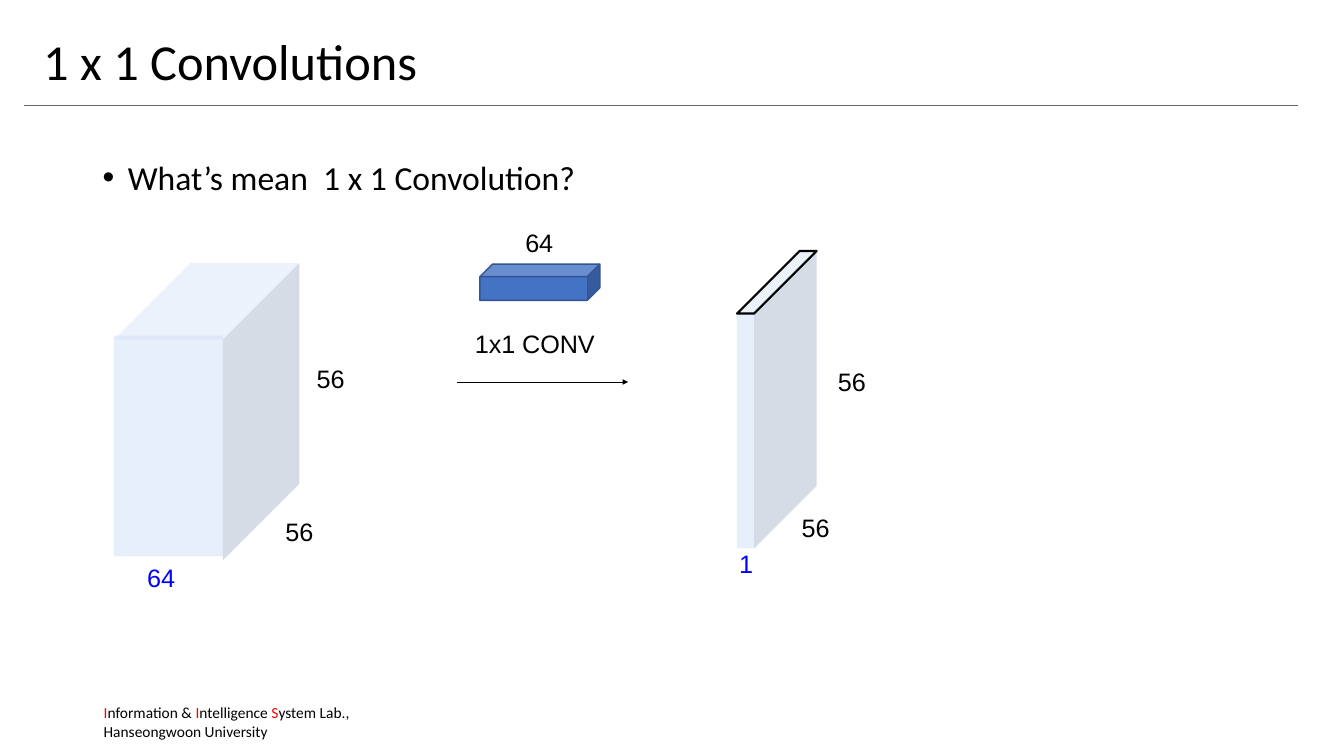
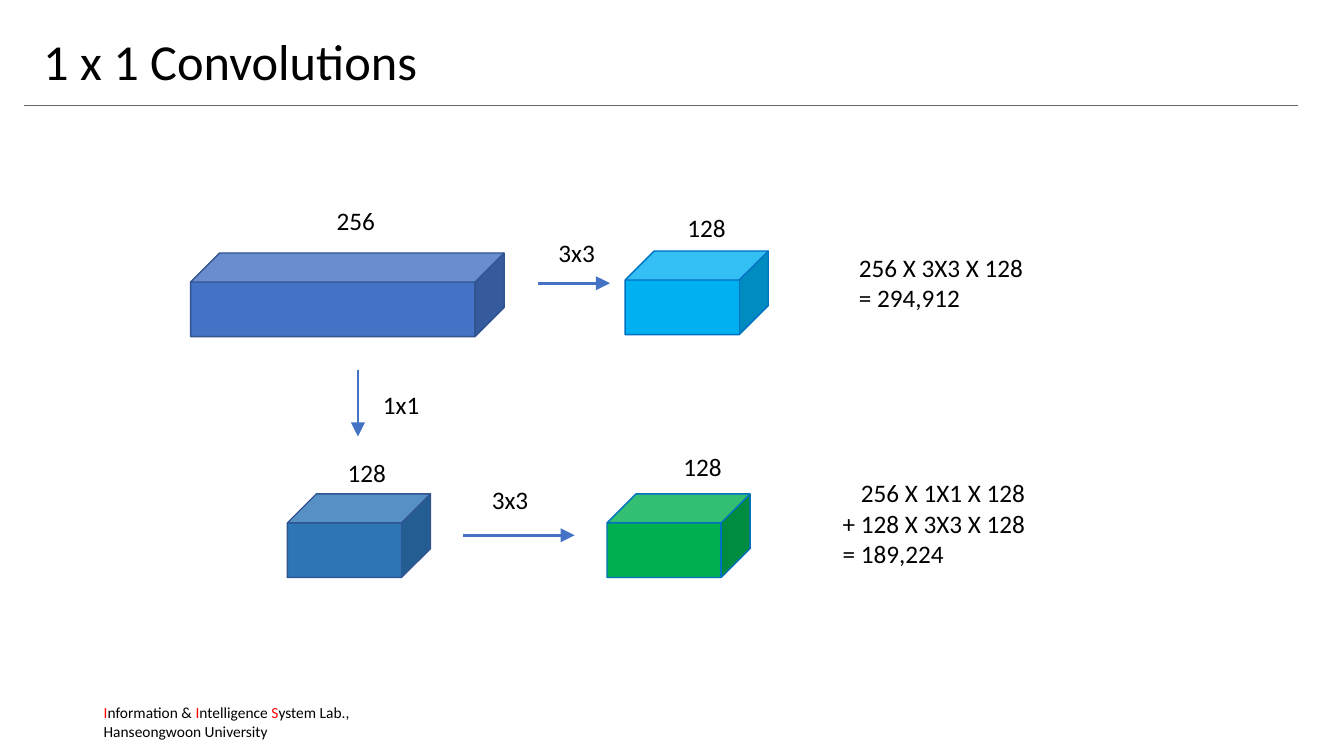
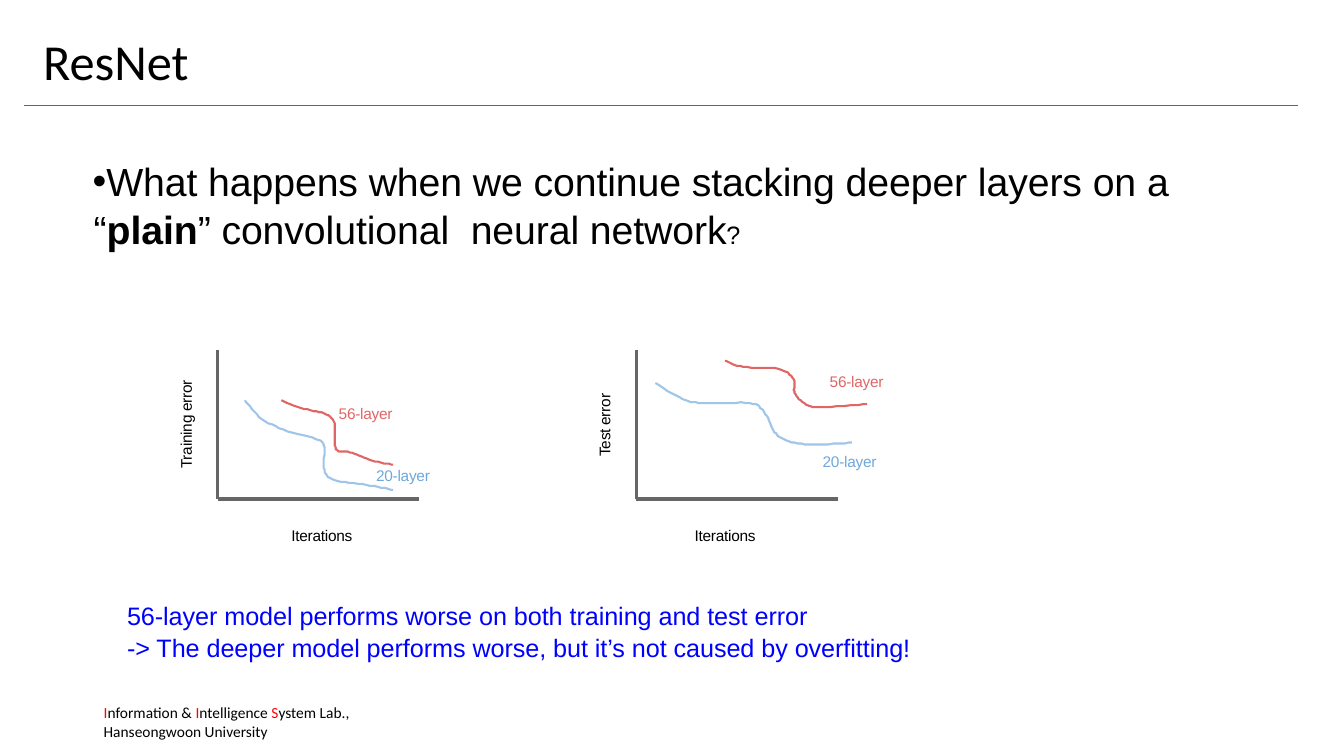
from dataclasses import dataclass, replace

from pptx import Presentation
from pptx.dml.color import RGBColor
from pptx.enum.shapes import MSO_CONNECTOR, MSO_SHAPE
from pptx.enum.text import MSO_ANCHOR, MSO_AUTO_SIZE
from pptx.oxml.ns import qn
from pptx.oxml.xmlchemy import OxmlElement
from pptx.util import Pt

PX = 9144
CURVE_STEPS = 8


@dataclass(frozen=True)
class TextStyle:
    """Describes how a block of text is set, with lengths in px."""
    size: int = 18
    color: str = "000000"
    font: str = "Calibri"
    bold: bool = False
    tracking: int = 0
    insets: tuple = (10, 5, 10, 5)
    before: float = 0
    spacing: float = 1
    margin: int = 0
    indent: int = 0
    bullet: bool = False
    anchor: MSO_ANCHOR = MSO_ANCHOR.TOP
    wrap: bool = True
    grow: bool = True
    vertical: bool = False


TIGHT = TextStyle(font="Arial", tracking=-6, insets=(0, 1, 0, 0), before=1, margin=1)


@dataclass(frozen=True)
class Theme:
    """Keeps the colours and text styles of the deck together."""
    rule: str = "666666"
    black: str = "000000"
    accent: str = "FF0000"
    emphasis: str = "0000FF"
    blue: str = "4472C4"
    blue_edge: str = "325491"
    steel: str = "2E75B6"
    sky: str = "00B0F0"
    green: str = "00B050"
    bright_edge: str = "0070C0"
    face_top: str = "D3E1F9"
    face_front: str = "C9DAF8"
    face_side: str = "A0AEC6"
    face_slim: str = "ECF2FC"
    deep: str = "E06666"
    shallow: str = "9FC5E8"
    shallow_text: str = "6FA8DC"
    title: TextStyle = TextStyle(size=36, spacing=0.9, anchor=MSO_ANCHOR.MIDDLE, grow=False)
    bullet: TextStyle = TextStyle(size=24, spacing=0.9, before=10, margin=25,
                                  indent=-25, bullet=True, grow=False)
    footer: TextStyle = TextStyle(size=11)
    caption: TextStyle = TextStyle(wrap=False)
    label: TextStyle = TIGHT
    question: TextStyle = replace(TIGHT, size=28, spacing=1.01, indent=-25, bullet=True)
    plot: TextStyle = replace(TIGHT, size=11, tracking=-20)


def smooth_curve(knots):
    """Returns points on a Catmull-Rom curve through the knots."""
    padded = [knots[0], *knots, knots[-1]]
    points = [knots[0]]
    for before, start, end, after in zip(padded, padded[1:], padded[2:], padded[3:]):
        for step in range(1, CURVE_STEPS + 1):
            t = step / CURVE_STEPS
            points.append(tuple(
                b + (c - a) * t / 2
                + (2 * a - 5 * b + 4 * c - d) * t ** 2 / 2
                + (3 * b - a - 3 * c + d) * t ** 3 / 2
                for a, b, c, d in zip(before, start, end, after)))
    return points


class Canvas:
    """Draws themed elements on the current slide."""

    def __init__(self, theme):
        """Starts an empty deck."""
        self.theme = theme
        self.deck = Presentation()
        self.deck.slide_width = 1333 * PX
        self.deck.slide_height = 750 * PX
        self.page = None

    def new_page(self, title):
        """Adds a slide with the shared title, rule and footer."""
        theme = self.theme
        self.page = self.deck.slides.add_slide(self.deck.slide_layouts[6])
        red = {"color": theme.accent}
        self.text((93, 693, 266, 47), theme.footer,
                  [("I", red), "nformation & ", ("I", red), "ntelligence ",
                   ("S", red), "ystem Lab.,"],
                  ["Hanseongwoon University"])
        self.line((24, 105), (1287, 105), theme.rule, 0.75)
        self.text((33, 23, 1300, 81), theme.title, [title])

    def text(self, area, style, *paragraphs):
        """Adds a text box; a paragraph is a list of strings or (string, changes)."""
        box = self.page.shapes.add_textbox(*(value * PX for value in area))
        frame = box.text_frame
        frame.word_wrap = style.wrap
        frame.auto_size = MSO_AUTO_SIZE.SHAPE_TO_FIT_TEXT if style.grow else MSO_AUTO_SIZE.NONE
        frame.vertical_anchor = style.anchor
        (frame.margin_left, frame.margin_top,
         frame.margin_right, frame.margin_bottom) = (value * PX for value in style.insets)
        if style.vertical:
            frame._txBody.bodyPr.set("vert", "vert270")
        for index, spans in enumerate(paragraphs):
            para = frame.add_paragraph() if index else frame.paragraphs[0]
            self.format_paragraph(para, style)
            for item in spans:
                words, changes = (item, {}) if isinstance(item, str) else item
                self.add_span(para, words, replace(style, **changes))
        return frame

    def format_paragraph(self, para, style):
        """Sets spacing, indents and bullet of a paragraph."""
        para.line_spacing = style.spacing
        para.space_before = Pt(style.before)
        properties = para._p.get_or_add_pPr()
        properties.set("marL", str(style.margin * PX))
        properties.set("indent", str(style.indent * PX))
        if style.bullet:
            for tag, key, value in (("a:buFont", "typeface", "Arial"), ("a:buChar", "char", "•")):
                mark = OxmlElement(tag)
                mark.set(key, value)
                properties.append(mark)

    def add_span(self, para, words, style):
        """Adds one run of text."""
        span = para.add_run()
        span.text = words
        span.font.name = style.font
        span.font.size = Pt(style.size)
        span.font.bold = style.bold
        span.font.color.rgb = RGBColor.from_string(style.color)
        if style.tracking:
            span._r.get_or_add_rPr().set("spc", str(style.tracking))

    def line(self, start, end, color, width, head=None):
        """Adds a straight line, with an arrowhead of the given size if any."""
        connector = self.page.shapes.add_connector(
            MSO_CONNECTOR.STRAIGHT, *(value * PX for value in (*start, *end)))
        connector.line.color.rgb = RGBColor.from_string(color)
        connector.line.width = Pt(width)
        properties = connector._element.spPr
        if head:
            arrow = OxmlElement("a:tailEnd")
            for key, value in (("type", "triangle"), ("w", head), ("len", head)):
                arrow.set(key, value)
            properties.find(qn("a:ln")).append(arrow)
        properties.append(OxmlElement("a:effectLst"))

    def paint(self, shape, fill=None, edge=None, width=1, opacity=100):
        """Sets fill, outline and opacity of a shape."""
        shape.shadow.inherit = False
        if fill:
            shape.fill.solid()
            shape.fill.fore_color.rgb = RGBColor.from_string(fill)
        else:
            shape.fill.background()
        if edge:
            shape.line.color.rgb = RGBColor.from_string(edge)
            shape.line.width = Pt(width)
        else:
            shape.line.fill.background()
        if opacity < 100:
            alpha = OxmlElement("a:alpha")
            alpha.set("val", str(opacity * 1000))
            shape._element.spPr.find(qn("a:solidFill"))[0].append(alpha)

    def cube(self, area, fill, edge):
        """Adds a block seen from above and the right."""
        shape = self.page.shapes.add_shape(MSO_SHAPE.CUBE, *(value * PX for value in area))
        shape.adjustments[0] = 0.347
        self.paint(shape, fill, edge)

    def outline(self, points, closed=True, **look):
        """Adds a polygon or an open curve through the points."""
        builder = self.page.shapes.build_freeform(*points[0], scale=PX)
        builder.add_line_segments(points[1:], close=closed)
        self.paint(builder.convert_to_shape(), **look)

    def volume(self, area, depth, lift, top_look):
        """Adds a see-through volume; lift raises its front above its side."""
        left, top, width, height = area
        right, bottom = left + width, top + height
        glass = {"opacity": 43}
        self.outline([(right, top), (right + depth, top - depth),
                      (right + depth, bottom - depth), (right, bottom)],
                     fill=self.theme.face_side, **glass)
        self.outline([(left, top - lift), (right, top - lift),
                      (right, bottom - lift), (left, bottom - lift)],
                     fill=self.theme.face_front, **glass)
        self.outline([(left, top), (left + depth, top - depth),
                      (right + depth, top - depth), (right, top)], **top_look)

    def error_plot(self, origin, kind, kind_height, iterations_offset, curves):
        """Adds axes, their names and curves whose knots are (across, up) from the origin."""
        theme = self.theme
        left, bottom = origin
        axis_width, axis_height = 200, 148
        for end in ((left + axis_width, bottom), (left, bottom - axis_height)):
            self.line(origin, end, theme.rule, 2.25)
        for name, color, name_color, (across, up), knots in curves:
            points = [(left + x, bottom - y) for x, y in smooth_curve(knots)]
            self.outline(points, closed=False, edge=color, width=1.5)
            self.text((left + across, bottom - up, 56, 21),
                      replace(theme.plot, color=name_color), [name])
        middle = bottom - axis_height // 2
        self.text((left - 41, middle - kind_height // 2, 22, kind_height),
                  replace(theme.plot, vertical=True), [kind, " error"])
        self.text((left + iterations_offset, bottom + 26, 63, 21), theme.plot, ["Iterations"])


def draw_meaning(canvas):
    """Shows a volume reduced to one channel."""
    theme = canvas.theme
    canvas.new_page("1 x 1 Convolutions")
    canvas.text((92, 155, 1150, 520), theme.bullet, ["What’s mean  1 x 1 Convolution?"])
    canvas.volume((113, 337, 108, 219), depth=76, lift=4,
                  top_look={"fill": theme.face_top, "opacity": 43})
    canvas.volume((731, 311, 17, 233), depth=62, lift=0,
                  top_look={"fill": theme.face_slim, "edge": theme.black, "width": 1.5})
    canvas.cube((476, 262, 119, 36), theme.blue, theme.blue_edge)
    canvas.line((453, 379), (623, 379), theme.black, 0.5, head="sm")
    channels = replace(theme.label, color=theme.emphasis)
    for words, left, top, style in (
            ("64", 145, 557, channels), ("56", 282, 511, theme.label),
            ("56", 313, 359, theme.label), ("64", 520, 225, theme.label),
            ("1", 732, 543, channels), ("56", 794, 507, theme.label),
            ("56", 830, 362, theme.label)):
        canvas.text((left, top, 31, 33), style, [words])
    canvas.text((470, 325, 149, 32), theme.label, ["1x1 CONV"])


def draw_cost(canvas):
    """Compares the cost with and without a 1 x 1 step."""
    theme = canvas.theme
    canvas.new_page("1 x 1 Convolutions")
    for channels, left, top, width, fill, edge, across, up in (
            ("256", 189, 251, 311, theme.blue, theme.blue_edge, 135, 52),
            ("128", 620, 249, 142, theme.sky, theme.bright_edge, 52, 43),
            ("128", 285, 490, 142, theme.steel, theme.blue_edge, 50, 41),
            ("128", 602, 490, 142, theme.green, theme.bright_edge, 66, 47)):
        canvas.cube((left, top, width, 83), fill, edge)
        canvas.text((left + across, top - up, 59, 40), theme.caption, [channels])
    for kernel, start, end, across, down in (
            ("3x3", (534, 281), (605, 281), 10, -50),
            ("1x1", (355, 367), (355, 433), 15, 14),
            ("3x3", (459, 531), (570, 531), 19, -55)):
        canvas.line(start, end, theme.blue, 2, head="lg")
        canvas.text((start[0] + across, start[1] + down, 57, 40), theme.caption, [kernel])
    canvas.text((842, 245, 185, 71), theme.caption, ["256 X 3X3 X 128"], ["= 294,912"])
    frame = canvas.text((826, 469, 204, 101), theme.caption,
                        ["256 X 1X1 X 128"], ["+ 128 X 3X3 X 128"], ["= 189,224"])
    frame.paragraphs[0]._p.get_or_add_pPr().set("marL", str(18 * PX))


def draw_resnet(canvas):
    """Shows training and test error of shallow and deep models."""
    theme = canvas.theme
    canvas.new_page("ResNet")
    canvas.text((92, 155, 1150, 93), theme.question,
                ["What happens when we continue stacking deeper layers on a “",
                 ("plain", {"bold": True}), "” convolutional  neural network",
                 ("?", {"size": 18})])
    shallow = ("20-layer", theme.shallow, theme.shallow_text)
    deep = ("56-layer", theme.deep, theme.deep)
    training_shallow = [(27, 98), (44, 79), (73, 66), (104, 56), (105, 31),
                        (115, 19), (147, 14), (174, 9)]
    training_deep = [(63, 98), (83, 90), (105, 85), (115, 77), (116, 57),
                     (119, 48), (133, 46), (153, 38), (174, 34)]
    test_shallow = [(19, 115), (46, 99), (69, 95), (113, 95), (127, 86),
                    (136, 68), (149, 58), (175, 54), (214, 56)]
    test_deep = [(88, 137), (106, 131), (141, 129), (156, 119), (157, 105),
                 (167, 95), (181, 91), (229, 94)]
    canvas.error_plot((216, 495), "Training", 90, 72,
                      [(*shallow, (156, 34), training_shallow),
                       (*deep, (119, 95), training_deep)])
    canvas.error_plot((631, 495), "Test", 66, 57,
                      [(*shallow, (184, 47), test_shallow),
                       (*deep, (191, 127), test_deep)])
    canvas.text((125, 595, 785, 63), replace(theme.label, color=theme.emphasis),
                ["56-layer model performs worse on both training and test error"],
                ["-> The deeper model performs worse, but it’s not caused by overfitting!"])


def main():
    """Builds and saves the deck."""
    canvas = Canvas(Theme())
    for draw in (draw_meaning, draw_cost, draw_resnet):
        draw(canvas)
    canvas.deck.save("out.pptx")


if __name__ == "__main__":
    main()
